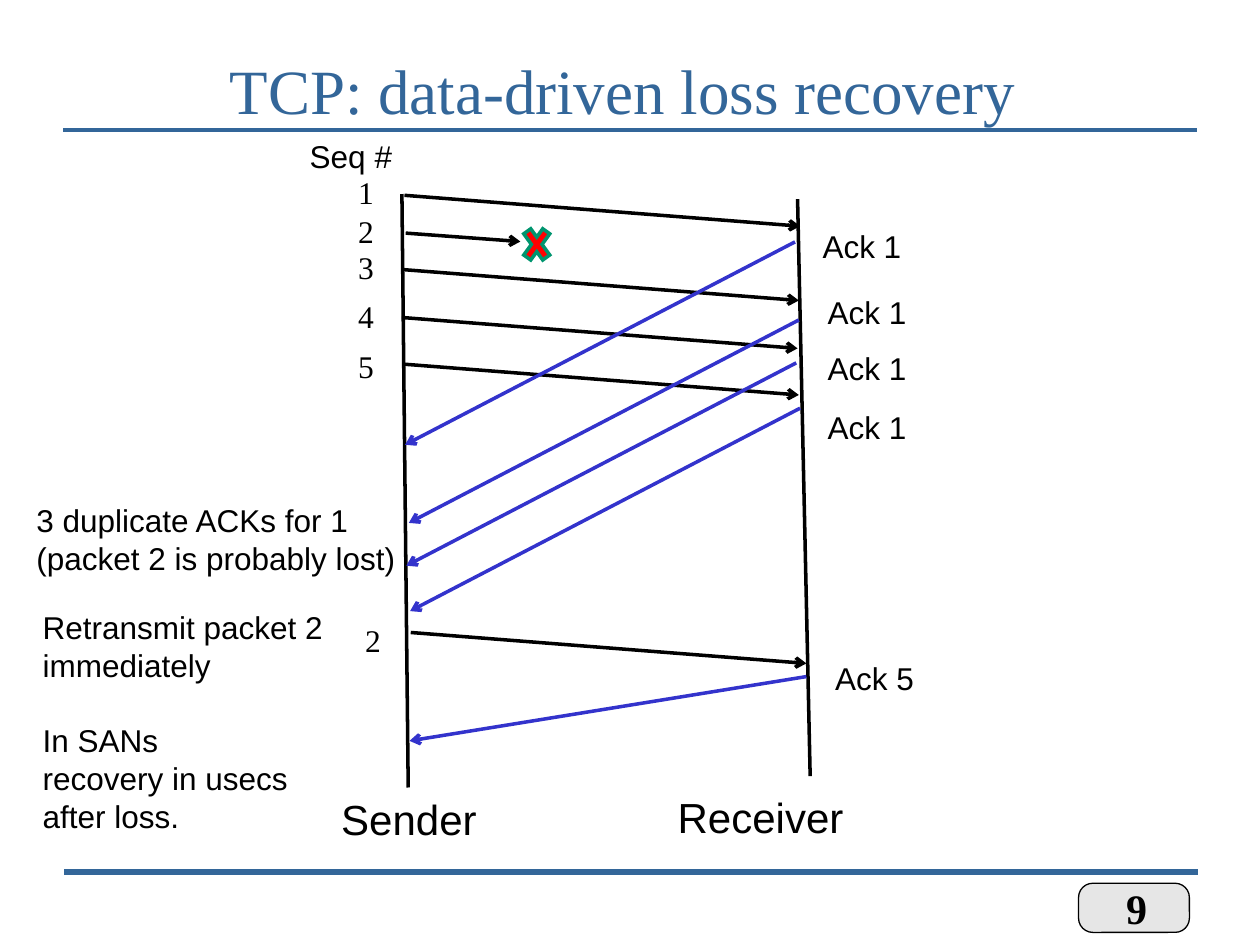
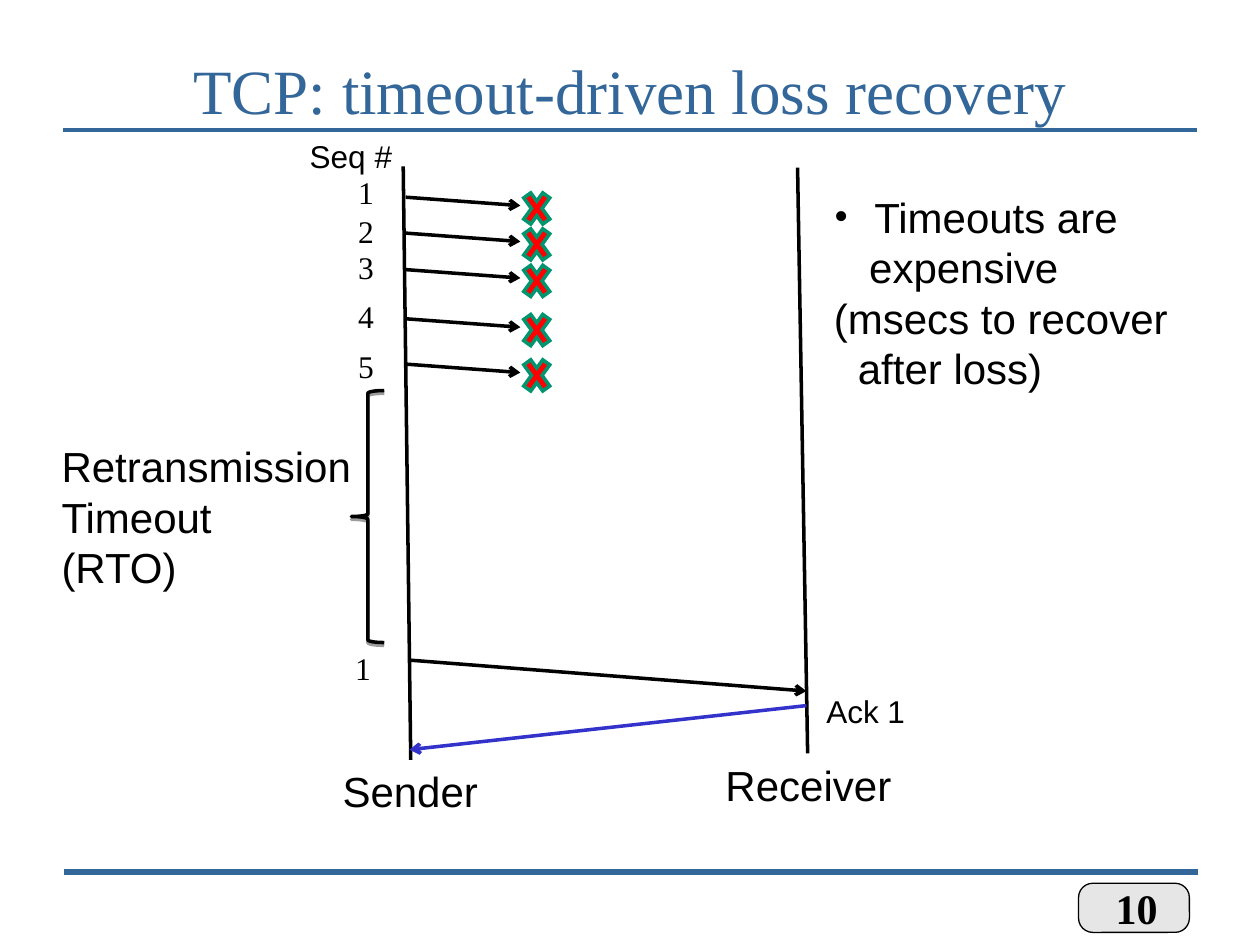
from lxml.etree import SubElement
from pptx import Presentation
from pptx.dml.color import RGBColor
from pptx.enum.shapes import MSO_CONNECTOR, MSO_SHAPE
from pptx.enum.text import MSO_ANCHOR, MSO_AUTO_SIZE, PP_ALIGN
from pptx.oxml.ns import qn
from pptx.util import Inches, Pt

COLORS = {"ink": "000000", "accent": "336699", "ack": "3333CC", "badge": "E6E6E6",
          "loss": "FF0000", "loss_edge": "00956F"}
SANS, SERIF = "Arial", "Times New Roman"
COLUMNS = 100
SEQUENCE_TOPS = [13.25, 16.3, 19.2, 23.1, 27.05]


class TimelineDeck:
    """Draws packet timelines on a grid of 100 columns by 75 rows."""

    def __init__(self):
        self.presentation = Presentation()
        self.presentation.slide_width = Inches(10)
        self.presentation.slide_height = Inches(7.5)
        self.unit = self.presentation.slide_width / COLUMNS
        self.slide = None

    def grid(self, *lengths):
        return [round(length * self.unit) for length in lengths]

    def color(self, name):
        return RGBColor.from_string(COLORS[name])

    def line(self, start, end, color="ink", width=2, arrow=False):
        connector = self.slide.shapes.add_connector(
            MSO_CONNECTOR.STRAIGHT, *self.grid(*start, *end))
        connector.line.color.rgb = self.color(color)
        connector.line.width = Pt(width)
        properties = connector._element.spPr
        if arrow:
            SubElement(properties.find(qn("a:ln")), qn("a:tailEnd"), type="arrow")
        SubElement(properties, qn("a:effectLst"))

    def shape(self, kind, box, fill=None, edge="ink", width=2):
        shape = self.slide.shapes.add_shape(kind, *self.grid(*box))
        shape.shadow.inherit = False
        if fill:
            shape.fill.solid()
            shape.fill.fore_color.rgb = self.color(fill)
        else:
            shape.fill.background()
        shape.line.color.rgb = self.color(edge)
        shape.line.width = Pt(width)
        return shape

    def text(self, lines, box, size=18, font=SANS, color="ink", bold=False,
             align=PP_ALIGN.LEFT, fit=True):
        frame = self.slide.shapes.add_textbox(*self.grid(*box)).text_frame
        frame.word_wrap = not fit
        frame.auto_size = MSO_AUTO_SIZE.SHAPE_TO_FIT_TEXT if fit else MSO_AUTO_SIZE.NONE
        frame.text = "\n".join(lines)
        for paragraph in frame.paragraphs:
            paragraph.alignment = align
            paragraph.font.size = Pt(size)
            paragraph.font.name = font
            paragraph.font.bold = bold
            paragraph.font.color.rgb = self.color(color)
        return frame

    def indent(self, paragraph, margin, bullet=None):
        properties = paragraph._p.get_or_add_pPr()
        width = self.grid(margin)[0]
        properties.set("marL", str(width))
        properties.set("indent", str(-width if bullet else 0))
        if bullet:
            for tag, attributes in [("a:buFont", {"typeface": SERIF}),
                                    ("a:buChar", {"char": bullet})]:
                marker = properties.makeelement(qn(tag), attributes)
                properties.insert_element_before(marker, "a:tabLst", "a:defRPr", "a:extLst")

    def start_slide(self, title, number, title_left=7.5):
        self.slide = self.presentation.slides.add_slide(self.presentation.slide_layouts[6])
        self.line((5, 10.3), (95, 10.3), "accent")
        badge = self.shape(MSO_SHAPE.ROUNDED_RECTANGLE, (85.6, 70.1, 8.8, 3.9),
                           "badge", width=0.75)
        badge.adjustments[0] = 0.29
        page = self.text([str(number)], (83.75, 70, 12.9, 3.8), 24, SERIF, bold=True,
                         align=PP_ALIGN.CENTER, fit=False)
        page.paragraphs[0].line_spacing = 0.9
        self.line((5.1, 69.2), (95.1, 69.2), "accent", 3.5)
        heading = self.text([title], (title_left, 3.3, 85, 7.5), 36, SERIF, "accent",
                            align=PP_ALIGN.CENTER, fit=False)
        heading.vertical_anchor = MSO_ANCHOR.MIDDLE

    def timelines(self, sender, receiver, sender_label, receiver_label):
        self.line(*sender)
        self.line(*receiver)
        self.text(["Sender"], (*sender_label, 13.2, 5), 24)
        self.text(["Receiver"], (*receiver_label, 15.6, 5), 24)
        self.text(["Seq #"], (23.6, 10.35, 8.8, 4))
        for number, top in enumerate(SEQUENCE_TOPS, 1):
            self.sequence_number(number, 27.45, top)

    def sequence_number(self, number, left, top):
        self.text([str(number)], (left, top, 3.3, 4), font=SERIF)

    def packet(self, left, top):
        self.line((left, top), (left + 31.4, top + 2.45), arrow=True)

    def lost_packet(self, top):
        self.line((32.2, top), (41.3, top + 0.67), arrow=True)
        cross = self.shape(MSO_SHAPE.MATH_MULTIPLY, (41.15, top - 1.1, 2.9, 4),
                           "loss", "loss_edge")
        SubElement(cross._element.spPr.find(qn("a:ln")), qn("a:miter"), lim="800000")

    def ack(self, left, top, run=30.95, drop=16.1):
        self.line((left, top), (left - run, top + drop), "ack", arrow=True)

    def ack_label(self, number, left, top):
        self.text([f"Ack {number}"], (left, top, 8.6, 4))

    def brace(self, box):
        brace = self.shape(MSO_SHAPE.LEFT_BRACE, box)
        effects = brace._element.spPr.find(qn("a:effectLst"))
        shadow = SubElement(effects, qn("a:outerShdw"), blurRad="0", dist=str(Pt(1.6)),
                            dir="5400000", rotWithShape="0")
        shade = SubElement(shadow, qn("a:srgbClr"), val=COLORS["ink"])
        SubElement(shade, qn("a:alpha"), val="38000")


def data_driven_slide(deck):
    deck.start_slide("TCP: data-driven loss recovery", 9, title_left=6.9)
    deck.timelines(((31.9, 15.4), (32.4, 62.5)), ((63.3, 15.8), (64.3, 61.6)),
                   (26.1, 62.5), (52.8, 62.3))
    for left, top in [(32.1, 15.5), (32, 21.4), (31.9, 25.2), (32, 28.9), (32.6, 50.2)]:
        deck.packet(left, top)
    deck.lost_packet(18.5)
    for left, top in [(63.1, 19.2), (63.4, 25.4), (63.2, 28.8), (63.5, 32.4)]:
        deck.ack(left, top)
    deck.ack(64, 53.7, 31.5, 5.1)
    for number, left, top in [(1, 64.3, 17.5), (1, 64.7, 22.8), (1, 64.7, 27.2),
                              (1, 64.7, 31.9), (5, 65.3, 51.8)]:
        deck.ack_label(number, left, top)
    deck.sequence_number(2, 28, 48.8)
    deck.text(["3 duplicate ACKs for 1", "(packet 2 is probably lost)"],
              (1.9, 39.3, 30.8, 7))
    recovery = deck.text(["Retransmit packet 2", "immediately", "In SANs",
                          "recovery in usecs", "after loss."], (2.4, 47.75, 25.2, 19))
    recovery.paragraphs[2].space_before = Pt(21.6)


def timeout_driven_slide(deck):
    deck.start_slide("TCP: timeout-driven loss recovery", 10)
    deck.timelines(((32, 13.2), (32.6, 60.3)), ((63.3, 13.3), (64.1, 59.8)),
                   (26.2, 60.3), (56.6, 59.8))
    for top in [15.65, 18.5, 21.4, 25.3, 28.9]:
        deck.lost_packet(top)
    deck.brace((27.9, 31, 2.6, 20))
    deck.text(["Retransmission", "Timeout", "(RTO)"], (3.9, 34.5, 25.4, 13), 24)
    deck.sequence_number(1, 27.2, 51)
    deck.packet(32.6, 52.4)
    deck.ack(64, 56, 31.5, 3.5)
    deck.ack_label(1, 64.6, 54.4)
    cost = deck.text(["Timeouts are", "expensive", "(msecs to recover", "after loss)"],
                     (65.2, 14.7, 28.8, 17), 24)
    for paragraph, margin, bullet in zip(cost.paragraphs, [3.2, 2.8, 0, 1.9], ["•"] + [None] * 3):
        deck.indent(paragraph, margin, bullet)


def main():
    deck = TimelineDeck()
    data_driven_slide(deck)
    timeout_driven_slide(deck)
    deck.presentation.save("out.pptx")


if __name__ == "__main__":
    main()
